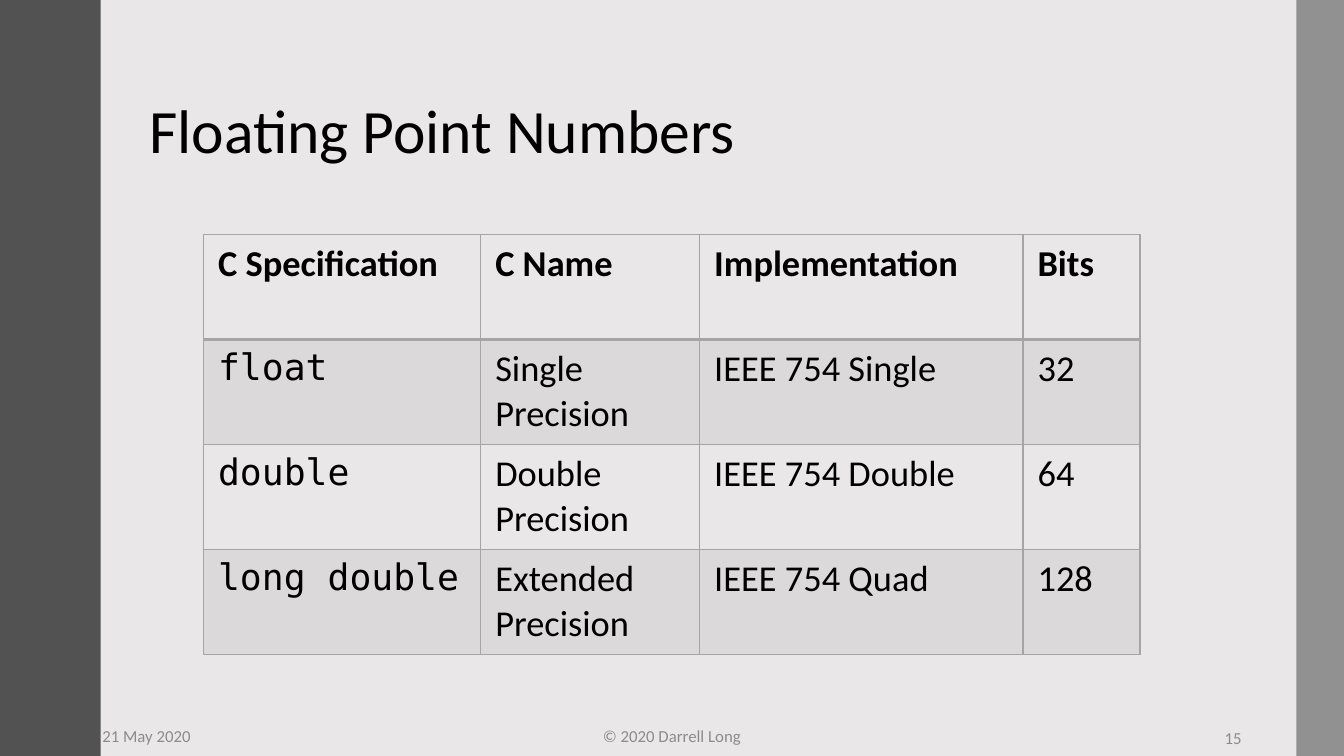
from lxml.etree import SubElement
from pptx import Presentation
from pptx.dml.color import RGBColor
from pptx.enum.shapes import MSO_SHAPE as Shape
from pptx.enum.text import MSO_ANCHOR as Anchor, PP_ALIGN as Align
from pptx.oxml import parse_xml
from pptx.oxml.ns import nsdecls, qn
from pptx.util import Pt

BACKGROUND = RGBColor(0xE9, 0xE7, 0xE7)
BLACK = RGBColor(0, 0, 0)
DARK_BAR = RGBColor(0x52, 0x52, 0x52)
LIGHT_BAR = RGBColor(0x59, 0x59, 0x59)
GRID = RGBColor(0xA5, 0xA5, 0xA5)
FOOTER = RGBColor(0x8C, 0x8C, 0x8C)
BODY_FONT = "Calibri"
CODE_FONT = "DejaVu Sans Mono"
PAGE_WIDTH, PAGE_HEIGHT = 960, 540

COLUMN_WIDTHS = [198, 156.4, 231, 83.5]
ROWS = [
    ["C Specification", "C Name", "Implementation", "Bits"],
    ["float", "Single Precision", "IEEE 754 Single", "32"],
    ["double", "Double Precision", "IEEE 754 Double", "64"],
    ["long double", "Extended Precision", "IEEE 754 Quad", "128"],
]


def set_font(para, size, color, name=BODY_FONT, bold=False):
    font = para.font
    font.size, font.name, font.bold = Pt(size), name, bold
    font.color.rgb = color


def set_opacity(element, percent):
    for color in element.iter(qn("a:srgbClr")):
        SubElement(color, qn("a:alpha"), val=str(percent * 1000))


def add_title(page, left, top, width, height):
    title = page.shapes.title
    title.left, title.top, title.width, title.height = map(Pt, (left, top, width, height))
    frame = title.text_frame
    frame.text = "Floating Point Numbers"
    frame.vertical_anchor = Anchor.MIDDLE
    para = frame.paragraphs[0]
    para.alignment = Align.LEFT
    para.line_spacing = 0.9
    set_font(para, 44, BLACK)


def add_bar(page, left, width, color, opacity=100):
    bar = page.shapes.add_shape(Shape.RECTANGLE, Pt(left), 0, Pt(width), Pt(PAGE_HEIGHT))
    bar.shadow.inherit = False
    bar.line.fill.background()
    bar.fill.solid()
    bar.fill.fore_color.rgb = color
    if opacity < 100:
        set_opacity(bar.fill._xPr, opacity)


def set_borders(cell, top, bottom):
    properties = cell._tc.get_or_add_tcPr()
    edges = {"lnL": 1, "lnR": 1, "lnT": top, "lnB": bottom}
    for position, (edge, width) in enumerate(edges.items()):
        line = parse_xml(
            f'<a:{edge} {nsdecls("a")} w="{Pt(width)}"><a:solidFill>'
            f'<a:srgbClr val="{GRID}"/></a:solidFill></a:{edge}>'
        )
        properties.insert(position, line)


def format_cell(cell, text, row, column):
    cell.text = text
    cell.margin_left = cell.margin_right = Pt(10.4)
    cell.margin_top = cell.margin_bottom = Pt(5.2)
    is_code = row > 0 and column == 0
    set_font(cell.text_frame.paragraphs[0], 26, BLACK,
             CODE_FONT if is_code else BODY_FONT, row == 0)
    if row % 2:
        cell.fill.solid()
        cell.fill.fore_color.rgb = GRID
        set_opacity(cell._tc.tcPr, 20)
    else:
        cell.fill.background()
    set_borders(cell, 2 if row == 1 else 1, 2 if row == 0 else 1)


def add_number_table(page, left, top, height):
    frame = page.shapes.add_table(len(ROWS), len(COLUMN_WIDTHS), Pt(left), Pt(top),
                                  Pt(sum(COLUMN_WIDTHS)), Pt(height))
    table = frame.table
    for column, width in zip(table.columns, COLUMN_WIDTHS):
        column.width = Pt(width)
    for row, texts in enumerate(ROWS):
        for column, text in enumerate(texts):
            format_cell(table.cell(row, column), text, row, column)


def add_footer(page, text, left, top, width, alignment):
    box = page.shapes.add_textbox(Pt(left), Pt(top), Pt(width), Pt(28.8))
    frame = box.text_frame
    frame.word_wrap = True
    frame.vertical_anchor = Anchor.MIDDLE
    frame.text = text
    para = frame.paragraphs[0]
    para.alignment = alignment
    set_font(para, 12, FOOTER)


def build_slide(deck):
    page = deck.slides.add_slide(deck.slide_layouts[5])
    page.background.fill.solid()
    page.background.fill.fore_color.rgb = BACKGROUND
    add_title(page, 99.4, 43.2, 776, 104.4)
    add_bar(page, 0, 72, DARK_BAR)
    add_bar(page, 926, PAGE_WIDTH - 926, LIGHT_BAR, 60)
    add_number_table(page, 145.4, 167.6, 300)
    add_footer(page, "© 2020 Darrell Long", 318, 511.5, 324, Align.CENTER)
    add_footer(page, "15", 678, 512.9, 216, Align.RIGHT)
    add_footer(page, "21 May 2020", 66, 511.5, 216, Align.LEFT)


def main():
    deck = Presentation()
    deck.slide_width, deck.slide_height = Pt(PAGE_WIDTH), Pt(PAGE_HEIGHT)
    build_slide(deck)
    deck.save("out.pptx")


if __name__ == "__main__":
    main()
